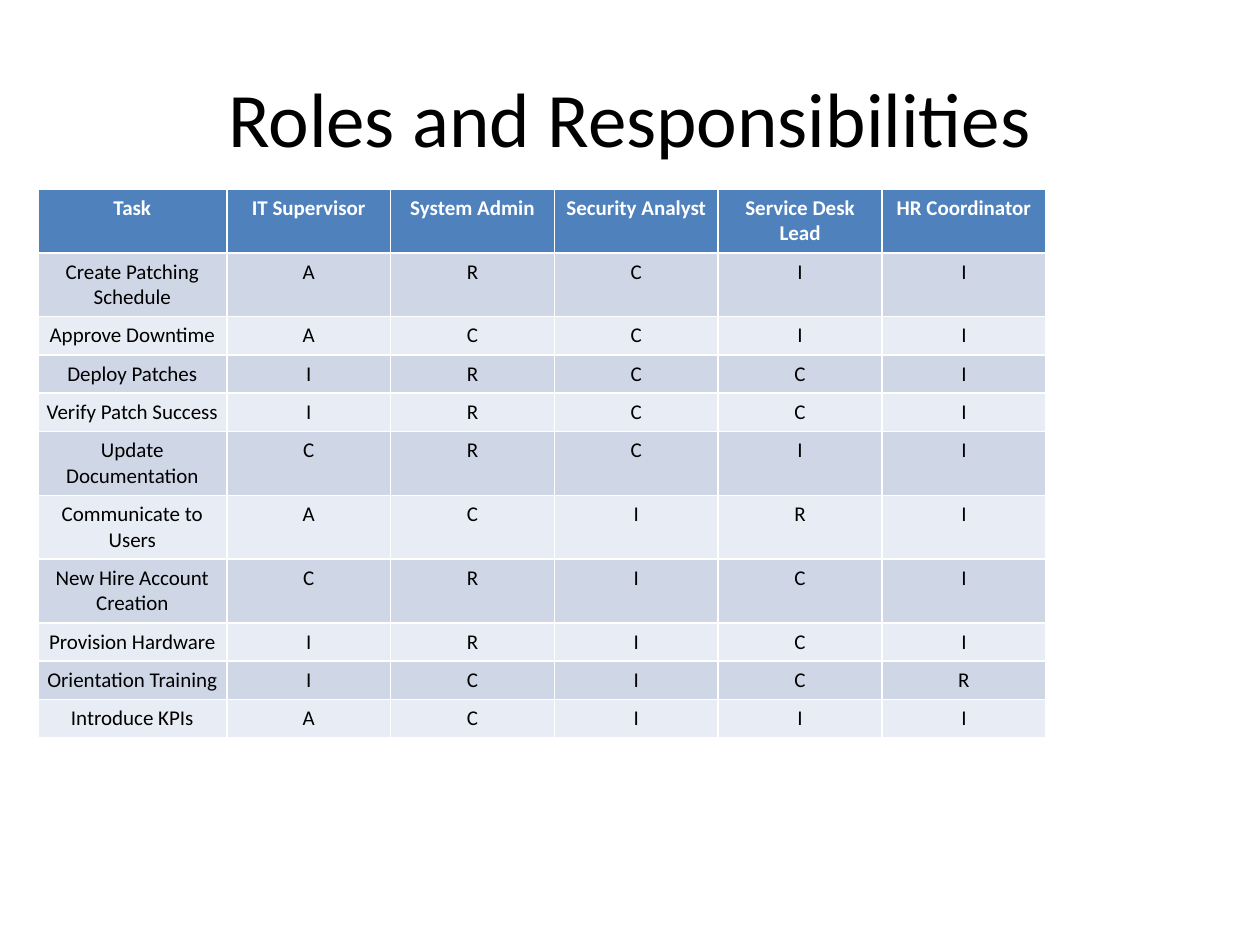
from pptx import Presentation
from pptx.dml.color import RGBColor
from pptx.enum.text import MSO_ANCHOR, PP_ALIGN
from pptx.util import Inches, Pt

BLACK = RGBColor(0x00, 0x00, 0x00)
WHITE = RGBColor(0xFF, 0xFF, 0xFF)
HEADER_BLUE = RGBColor(0x4F, 0x81, 0xBD)
BAND_DARK = RGBColor(0xCF, 0xD7, 0xE7)
BAND_LIGHT = RGBColor(0xE8, 0xEC, 0xF4)
FONT = "Calibri"

ROLES = ["IT Supervisor", "System Admin", "Security Analyst",
         "Service Desk Lead", "HR Coordinator"]
# One letter for each role, in the order of ROLES
ASSIGNMENTS = [
    ("Create Patching Schedule", "ARCII"),
    ("Approve Downtime", "ACCII"),
    ("Deploy Patches", "IRCCI"),
    ("Verify Patch Success", "IRCCI"),
    ("Update Documentation", "CRCII"),
    ("Communicate to Users", "ACIRI"),
    ("New Hire Account Creation", "CRICI"),
    ("Provision Hardware", "IRICI"),
    ("Orientation Training", "ICICR"),
    ("Introduce KPIs", "ACIII"),
]
TASK_WIDTH, ROLE_WIDTH = Inches(1.5), Inches(1.3)
ROW_HEIGHT = Inches(0.11)  # a minimum: rows grow to fit their text
MARGIN = Inches(0.05)


def write_text(frame, text, size, color, bold=False):
    frame.text = text
    frame.margin_left = frame.margin_right = MARGIN
    frame.margin_top = frame.margin_bottom = MARGIN
    para = frame.paragraphs[0]
    para.alignment = PP_ALIGN.CENTER
    for span in para.runs:
        span.font.name = FONT
        span.font.size = Pt(size)
        span.font.bold = bold
        span.font.color.rgb = color


def add_title(page, text):
    title = page.shapes.title
    title.left, title.top = Inches(0.5), Inches(0.3)
    title.width, title.height = Inches(9), Inches(1.25)
    write_text(title.text_frame, text, 44, BLACK)
    title.text_frame.vertical_anchor = MSO_ANCHOR.MIDDLE


def fill_cell(cell, text, fill, color, bold):
    write_text(cell.text_frame, text, 12, color, bold)
    cell.margin_left = cell.margin_right = MARGIN
    cell.margin_top = cell.margin_bottom = MARGIN
    cell.fill.solid()
    cell.fill.fore_color.rgb = fill


def add_matrix(page):
    """Add the task-by-role table; its default style draws the white borders."""
    rows = [["Task", *ROLES]]
    rows += [[task, *letters] for task, letters in ASSIGNMENTS]
    frame = page.shapes.add_table(len(rows), len(rows[0]), Inches(0.3),
                                  Inches(1.5), Inches(8), Inches(0.8))
    table = frame.table
    for index, column in enumerate(table.columns):
        column.width = ROLE_WIDTH if index else TASK_WIDTH
    for index, texts in enumerate(rows):
        table.rows[index].height = ROW_HEIGHT
        header = index == 0
        band = BAND_DARK if index % 2 else BAND_LIGHT
        for cell, text in zip(table.rows[index].cells, texts):
            fill_cell(cell, text, HEADER_BLUE if header else band,
                      WHITE if header else BLACK, header)
    frame.height = Inches(0.8)


def main():
    deck = Presentation()
    deck.slide_width, deck.slide_height = Inches(10), Inches(7.5)
    page = deck.slides.add_slide(deck.slide_layouts[5])
    add_title(page, "Roles and Responsibilities")
    add_matrix(page)
    deck.save("out.pptx")


if __name__ == "__main__":
    main()
